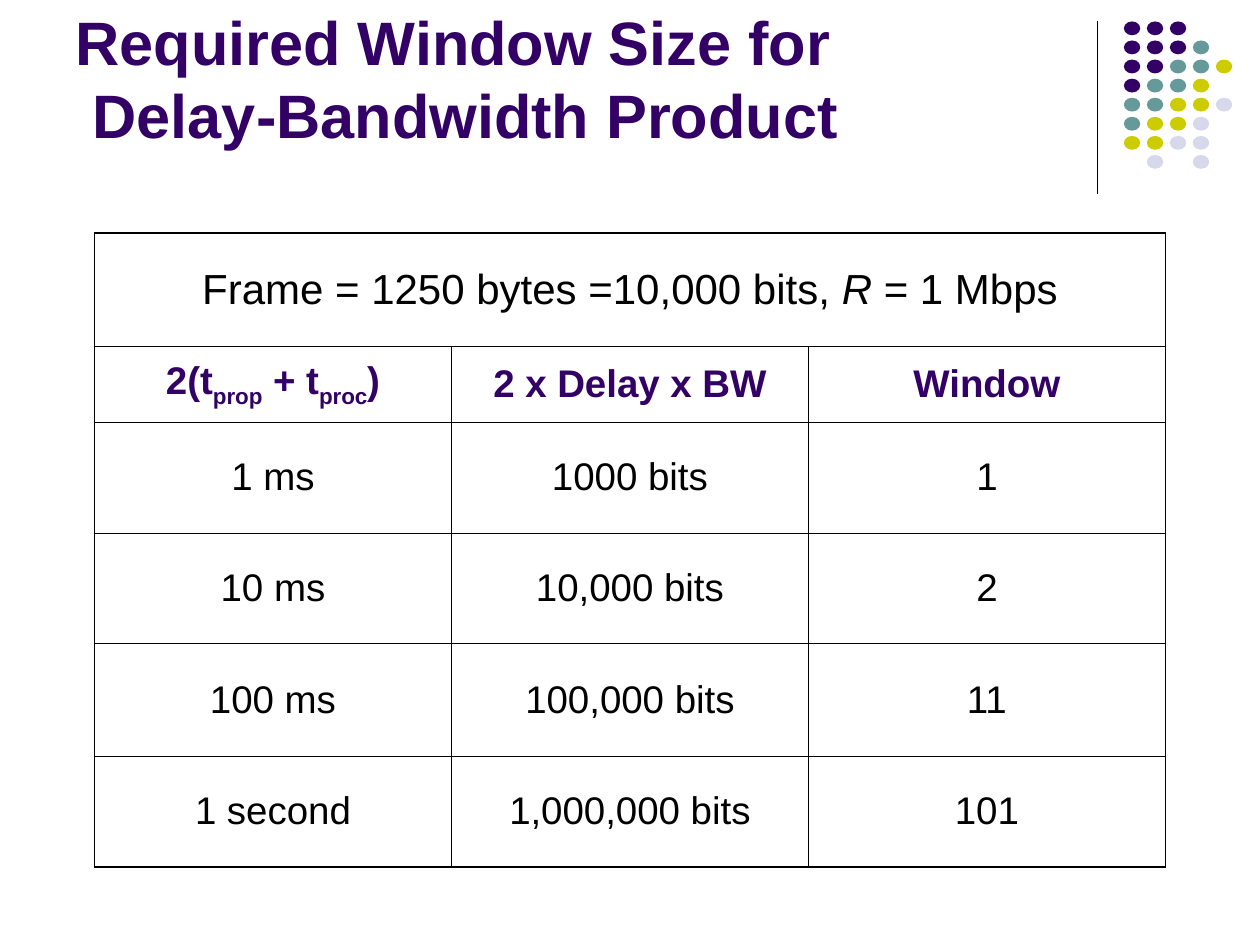
from lxml.etree import SubElement
from pptx import Presentation
from pptx.dml.color import RGBColor
from pptx.enum.shapes import MSO_CONNECTOR as Connector, MSO_SHAPE as Shape
from pptx.enum.text import MSO_ANCHOR as Anchor, MSO_AUTO_SIZE as AutoSize, PP_ALIGN as Align
from pptx.oxml.ns import qn
from pptx.util import Inches, Pt

BLACK = RGBColor(0x00, 0x00, 0x00)
PURPLE = RGBColor(0x33, 0x00, 0x66)
TEAL = RGBColor(0x66, 0x99, 0x99)
OLIVE = RGBColor(0xCC, 0xCC, 0x00)
LAVENDER = RGBColor(0xD8, 0xD8, 0xEC)
FONT = "Arial"


def style_run(span, size, color, bold=False):
    span.font.name = FONT
    span.font.size = Pt(size)
    span.font.color.rgb = color
    span.font.bold = bold


def add_border(cell, side, width):
    properties = cell._tc.get_or_add_tcPr()
    line = SubElement(properties, qn(f"a:ln{side}"), w=str(Pt(width)))
    fill = SubElement(line, qn("a:solidFill"))
    SubElement(fill, qn("a:srgbClr"), val=str(BLACK))


deck = Presentation()
deck.slide_width = Inches(10)
deck.slide_height = Inches(7.5)
page = deck.slides.add_slide(deck.slide_layouts[5])

title = page.shapes.title
title.left, title.top = Inches(0.5), Inches(0.13)
title.width, title.height = Inches(8.25), Inches(1.12)
frame = title.text_frame
frame.text = "Required Window Size for\v Delay-Bandwidth Product"
frame.auto_size = AutoSize.NONE
frame.vertical_anchor = Anchor.BOTTOM
para = frame.paragraphs[0]
para.alignment = Align.LEFT
for span in para.runs:
    style_run(span, 35, PURPLE, bold=True)

divider = page.shapes.add_connector(
    Connector.STRAIGHT, Inches(8.71), Inches(0.17), Inches(8.71), Inches(1.54))
divider.line.color.rgb = BLACK
divider.line.width = Pt(0.75)
SubElement(divider._element.spPr, qn("a:effectLst"))

DOT_COLORS = {"P": PURPLE, "T": TEAL, "O": OLIVE, "L": LAVENDER}
DOT_ROWS = ["PPP", "PPPT", "PPTTO", "PTTO", "TTOOL", "TOOL", "OOLL", ".L.L"]
dots = page.shapes.add_group_shape()
for row, codes in enumerate(DOT_ROWS):
    for column, code in enumerate(codes):
        if code == ".":
            continue
        dot = dots.shapes.add_shape(
            Shape.OVAL, Inches(8.92 + column * 0.73 / 4), Inches(0.17 + row * 1.06 / 7),
            Inches(0.13), Inches(0.11))
        dot.shadow.inherit = False
        dot.fill.solid()
        dot.fill.fore_color.rgb = DOT_COLORS[code]
        dot.line.fill.background()

HEADING = [("Frame = 1250 bytes =10,000 bits, ", False), ("R", True), (" = 1 Mbps", False)]
DELAY_HEADER = [("2(t", False), ("prop", True), (" + t", False), ("proc", True), (")", False)]
ROWS = [
    [HEADING, [], []],
    [DELAY_HEADER, "2 x Delay x BW", "Window"],
    ["1 ms", "1000 bits", "1"],
    ["10 ms", "10,000 bits", "2"],
    ["100 ms", "100,000 bits", "11"],
    ["1 second", "1,000,000 bits", "101"],
]
ROW_HEIGHTS = [0.9, 0.6, 0.88, 0.88, 0.89, 0.88]
OUTER, INNER = 1.08, 0.45

table = page.shapes.add_table(
    len(ROWS), 3, Inches(0.75), Inches(1.85), Inches(8.5), Inches(sum(ROW_HEIGHTS))).table
table.first_row = False
table.horz_banding = False
for column in table.columns:
    column.width = Inches(8.5 / 3)
table.cell(0, 0).merge(table.cell(0, 2))

for row, (contents, height) in enumerate(zip(ROWS, ROW_HEIGHTS)):
    table.rows[row].height = Inches(height)
    for column, content in enumerate(contents):
        cell = table.cell(row, column)
        edges = {"L": column == 0, "R": column == 2 or row == 0,
                 "T": row == 0, "B": row == len(ROWS) - 1}
        for side, is_outer in edges.items():
            add_border(cell, side, OUTER if is_outer else INNER)
        cell.fill.background()
        cell.vertical_anchor = Anchor.MIDDLE
        para = cell.text_frame.paragraphs[0]
        para.alignment = Align.CENTER
        pieces = [(content, False)] if isinstance(content, str) else content
        for text, special in pieces:
            span = para.add_run()
            span.text = text
            style_run(span, 24 if row == 0 else 22, PURPLE if row == 1 else BLACK, bold=row == 1)
            if special and row == 0:
                span.font.italic = True
            elif special:
                span.font._element.set("baseline", "-25000")

deck.save("out.pptx")
